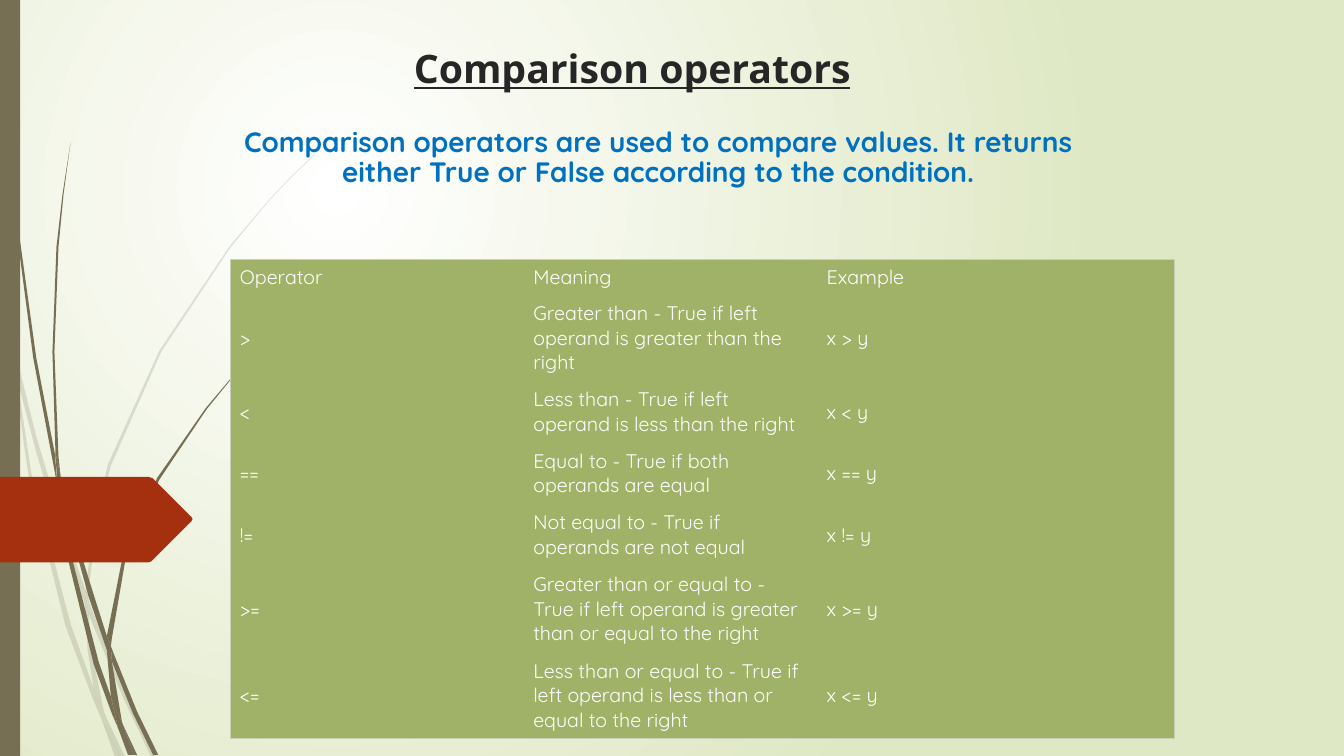
from dataclasses import dataclass
from typing import Any

import lxml.etree
import pptx
import pptx.dml.color
import pptx.enum.shapes
import pptx.enum.text
import pptx.oxml.ns
import pptx.util

Inches = pptx.util.Inches
Pt = pptx.util.Pt
qn = pptx.oxml.ns.qn

COLORS = {
    "white": "FFFFFF", "pale_green": "DFE8C4", "bark": "766F54", "arrow": "A53010",
    "title": "262626", "summary": "0070C0", "table": "9FB267", "border": "C9D0B9",
}
TITLE_FONT = {"name": "Open Sans", "size": Pt(28), "bold": True, "underline": True}
SUMMARY_FONT = {"name": "Quicksand", "size": Pt(20), "bold": True}
TABLE_FONT = {"name": "Quicksand", "size": Pt(14), "bold": False}
HEADING_FRAME = {
    "word_wrap": True,
    "auto_size": pptx.enum.text.MSO_AUTO_SIZE.NONE,
    "vertical_anchor": pptx.enum.text.MSO_ANCHOR.BOTTOM,
}
CENTERED = {"alignment": pptx.enum.text.PP_ALIGN.CENTER}
CELL_FORMAT = {
    "vertical_anchor": pptx.enum.text.MSO_ANCHOR.MIDDLE,
    "margin_left": Inches(0.09), "margin_right": Inches(0.09),
    "margin_top": Inches(0.05), "margin_bottom": Inches(0.05),
}
NO_GRID_STYLE = "{2D5ABB26-0587-4C30-8999-92F81FD0307C}"


@dataclass(frozen=True)
class Outline:
    points: list[tuple[float, float]]
    color: str = "bark"
    opacity: int = 100


@dataclass(frozen=True)
class Operator:
    sign: str
    meaning: str
    height: float

    def cells(self) -> tuple[str, str, str]:
        return self.sign, self.meaning, f"x {self.sign} y"


FAINT_GRASS = [
    [(0.11, 3.5), (0.09, 3.22), (0, 2.82), (0, 2.99), (0.1, 3.44)],
    [(0.58, 5.22), (0.84, 5.99), (0.85, 5.86), (0.62, 5.2), (0.36, 4.33), (0.14, 3.45),
     (0.17, 3.76), (0.36, 4.49)],
    [(0.92, 6.07), (0.88, 5.96), (0.88, 6.1), (1.23, 6.94), (1.5, 7.51), (1.55, 7.51), (1.27, 6.92)],
    [(1.19, 7.51), (1.24, 7.51), (1.05, 7.11)],
    [(0.93, 6.83), (0.7, 6.19), (0.31, 4.69), (0.17, 3.76), (0.11, 3.5), (0.28, 4.7),
     (0.65, 6.21), (0.92, 6.93), (1.01, 7.14), (0.99, 7.07)],
    [(0.84, 5.99), (0.87, 6.46), (0.93, 6.83), (0.96, 6.92), (1.05, 7.11), (1.03, 7.06),
     (0.91, 6.46), (0.88, 6.1), (0.88, 6.08)],
    [(0.88, 5.84), (0.96, 5.22), (1.1, 4.62), (1.6, 3.49), (2.29, 2.45), (2.68, 1.98), (2.9, 1.75),
     (3.12, 1.54), (3.12, 1.53), (2.89, 1.75), (2.68, 1.97), (2.28, 2.44), (1.58, 3.48),
     (1.07, 4.61), (0.93, 5.22), (0.85, 5.84), (0.85, 5.86), (0.88, 5.96)],
    [(1.01, 7.14), (1.14, 7.51), (1.19, 7.51)],
    [(0.88, 6.08), (0.88, 6.1), (0.88, 5.96), (0.85, 5.86), (0.84, 5.99)],
    [(0.96, 6.92), (0.93, 6.83), (0.99, 7.07), (1.01, 7.14), (1.19, 7.51), (1.05, 7.11)],
]
DARK_GRASS = [
    [(0.07, 1.1), (0.17, 2.33), (0.33, 3.55), (0.56, 4.77), (0.57, 4.81), (0.55, 4.57),
     (0.55, 4.53), (0.36, 3.55), (0.19, 2.32), (0.08, 1.09), (0.05, 0.48), (0.04, 0),
     (0.03, 0), (0.04, 0.48)],
    [(0.88, 5.92), (1.06, 6.45), (1.06, 6.33), (1.06, 6.31), (0.93, 5.9), (0.75, 5.32),
     (0.6, 4.72), (0.64, 5.05)],
    [(1.13, 6.49), (1.1, 6.41), (1.11, 6.56), (1.32, 7.08), (1.52, 7.49), (1.57, 7.49), (1.36, 7.06)],
    [(1.1, 6.91), (0.98, 6.57), (0.72, 5.56), (0.64, 5.05), (0.57, 4.77), (0.68, 5.57),
     (0.93, 6.59), (1.11, 7.08), (1.17, 7.22), (1.16, 7.17)],
    [(0.6, 4.72), (0.58, 4.53), (0.54, 3.49), (0.58, 2.45), (0.63, 1.93), (0.7, 1.41),
     (0.62, 1.93), (0.56, 2.45), (0.52, 3.49), (0.55, 4.49)],
    [(1.33, 7.49), (1.36, 7.49), (1.22, 7.19)],
    [(0.57, 4.77), (0.64, 5.05), (0.6, 4.72), (0.55, 4.49), (0.55, 4.53)],
    [(1.11, 6.33), (1.25, 5.52), (1.58, 4.76), (2.05, 4.06), (2.31, 3.74), (2.45, 3.59),
     (2.61, 3.44), (2.6, 3.44), (2.45, 3.58), (2.31, 3.73), (2.04, 4.05), (1.56, 4.74),
     (1.22, 5.51), (1.06, 6.31), (1.1, 6.41)],
    [(1.17, 7.22), (1.27, 7.49), (1.31, 7.49)],
    [(1.06, 6.45), (1.1, 6.91), (1.16, 7.06), (1.22, 7.19), (1.21, 7.16), (1.11, 6.56), (1.09, 6.51)],
    [(1.06, 6.45), (1.09, 6.51), (1.11, 6.56), (1.1, 6.41), (1.06, 6.31), (1.06, 6.33)],
    [(1.16, 7.06), (1.1, 6.91), (1.16, 7.17), (1.17, 7.22), (1.3, 7.49), (1.33, 7.49), (1.22, 7.19)],
]
PAGE_ARROW = [(0, 4.73), (1.47, 4.73), (1.5, 4.74), (1.51, 4.74), (1.9, 5.13), (1.91, 5.15),
              (1.9, 5.17), (1.51, 5.56), (1.5, 5.57), (1.47, 5.58), (0, 5.58)]
OPERATORS = [
    Operator(">", "Greater than - True if left operand is greater than the right", 0.86),
    Operator("<", "Less than - True if left operand is less than the right", 0.61),
    Operator("==", "Equal to - True if both operands are equal", 0.61),
    Operator("!=", "Not equal to - True if operands are not equal", 0.61),
    Operator(">=", "Greater than or equal to - True if left operand is greater than or equal to the right", 0.86),
    Operator("<=", "Less than or equal to - True if left operand is less than or equal to the right", 0.86),
]


def rgb(color: str) -> pptx.dml.color.RGBColor:
    return pptx.dml.color.RGBColor.from_string(COLORS[color])


def apply_format(target: Any, values: dict[str, Any]) -> None:
    for name, value in values.items():
        setattr(target, name, value)


def paint(shape: Any, color: str, opacity: int = 100) -> None:
    shape.shadow.inherit = False
    shape.fill.solid()
    shape.fill.fore_color.rgb = rgb(color)
    shape.line.fill.background()
    if opacity < 100:
        tint = shape.fill._xPr.find(".//" + qn("a:srgbClr"))
        lxml.etree.SubElement(tint, qn("a:alpha"), val=str(opacity * 1000))


def draw_outline(shapes: Any, outline: Outline) -> None:
    start, *rest = [(Inches(x), Inches(y)) for x, y in outline.points]
    builder = shapes.build_freeform(*start)
    builder.add_line_segments(rest, close=True)
    paint(builder.convert_to_shape(), outline.color, outline.opacity)


def write(frame: Any, text: str, font: dict[str, Any], color: str) -> Any:
    frame.text = text
    paragraph = frame.paragraphs[0]
    run_font = paragraph.runs[0].font
    apply_format(run_font, font)
    run_font.color.rgb = rgb(color)
    return paragraph


def write_heading(shape: Any, left: float, top: float, text: str,
                  font: dict[str, Any], color: str) -> Any:
    apply_format(shape, {"left": Inches(left), "top": Inches(top),
                         "width": Inches(8.48), "height": Inches(0.74)})
    apply_format(shape.text_frame, HEADING_FRAME)
    paragraph = write(shape.text_frame, text, font, color)
    apply_format(paragraph, CENTERED)
    return paragraph


def add_borders(cell: Any, sides: dict[str, bool]) -> None:
    properties = cell._tc.get_or_add_tcPr()
    for side, outer in sides.items():
        if outer:
            line = lxml.etree.SubElement(properties, qn(f"a:ln{side}"), w=str(Pt(0.75)))
            fill = lxml.etree.SubElement(line, qn("a:solidFill"))
            lxml.etree.SubElement(fill, qn("a:srgbClr"), val=COLORS["border"])


def draw_operator_table(shapes: Any) -> None:
    rows = [("Operator", "Meaning", "Example"), *(operator.cells() for operator in OPERATORS)]
    heights = [0.35, *(operator.height for operator in OPERATORS)]
    widths = [2.91, 2.91, 3.54]
    frame = shapes.add_table(len(rows), len(widths), Inches(2.29), Inches(2.57),
                             Inches(sum(widths)), Inches(sum(heights)))
    table = frame.table
    table._tbl.tblPr.find(qn("a:tableStyleId")).text = NO_GRID_STYLE
    for column, width in zip(table.columns, widths):
        column.width = Inches(width)
    for r, (texts, height) in enumerate(zip(rows, heights)):
        table.rows[r].height = Inches(height)
        for c, text in enumerate(texts):
            cell = table.cell(r, c)
            apply_format(cell, CELL_FORMAT)
            add_borders(cell, {"L": c == 0, "R": c == len(widths) - 1,
                               "T": r == 0, "B": r == len(rows) - 1})
            cell.fill.solid()
            cell.fill.fore_color.rgb = rgb("table")
            write(cell.text_frame, text, TABLE_FONT, "white")


def draw_background(slide: Any) -> None:
    fill = slide.background.fill
    fill.gradient()
    for stop, position, color in zip(fill.gradient_stops, (0, 1), ("white", "pale_green")):
        stop.position = position
        stop.color.rgb = rgb(color)
    gradient = slide._element.find(".//" + qn("a:gradFill"))
    gradient.remove(gradient.find(qn("a:lin")))
    circle = lxml.etree.SubElement(gradient, qn("a:path"), {"path": "circle"})
    lxml.etree.SubElement(circle, qn("a:fillToRect"), l="50000", t="50000", r="100000", b="100000")


presentation = pptx.Presentation()
presentation.slide_width, presentation.slide_height = Inches(13.33), Inches(7.5)
slide = presentation.slides.add_slide(presentation.slide_layouts[5])
draw_background(slide)
for blades, opacity in ((FAINT_GRASS, 20), (DARK_GRASS, 100)):
    for blade in blades:
        draw_outline(slide.shapes, Outline(blade, opacity=opacity))
side_band = slide.shapes.add_shape(pptx.enum.shapes.MSO_SHAPE.RECTANGLE, 0, 0, Inches(0.2), Inches(7.5))
paint(side_band, "bark")
draw_outline(slide.shapes, Outline(PAGE_ARROW, "arrow"))
write_heading(slide.shapes.title, 2.03, 0.22, "Comparison operators", TITLE_FONT, "title")
summary = write_heading(
    slide.shapes.add_textbox(0, 0, 0, 0), 2.29, 1.18,
    "Comparison operators are used to compare values. "
    "It returns either True or False according to the condition.", SUMMARY_FONT, "summary")
summary.line_spacing = 0.9
draw_operator_table(slide.shapes)
presentation.save("out.pptx")
